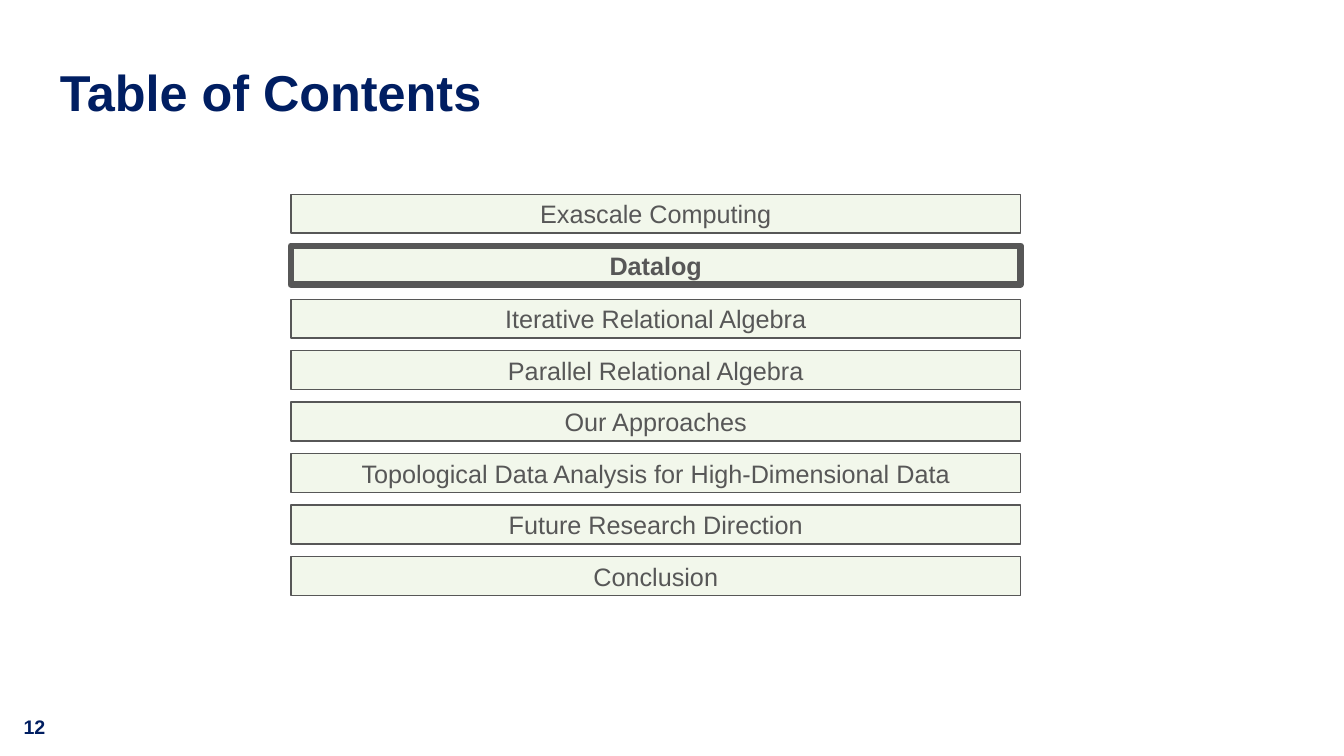
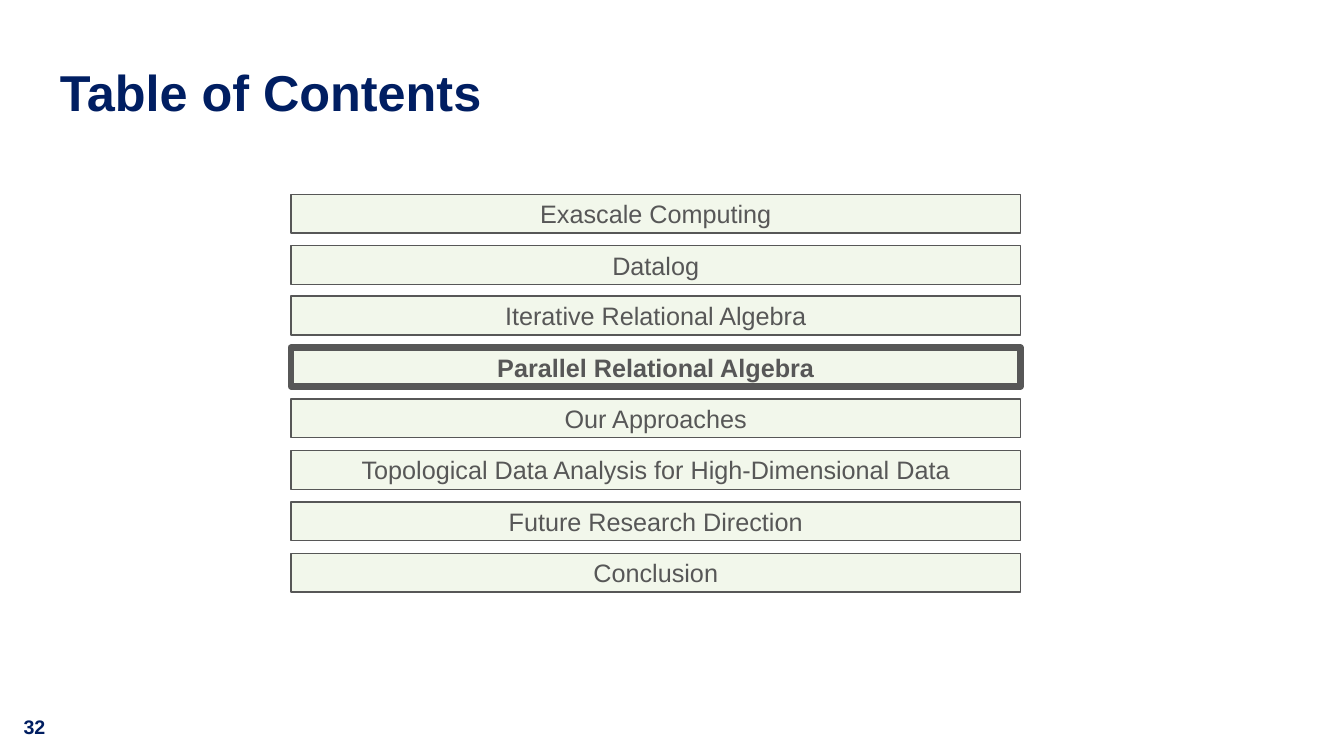
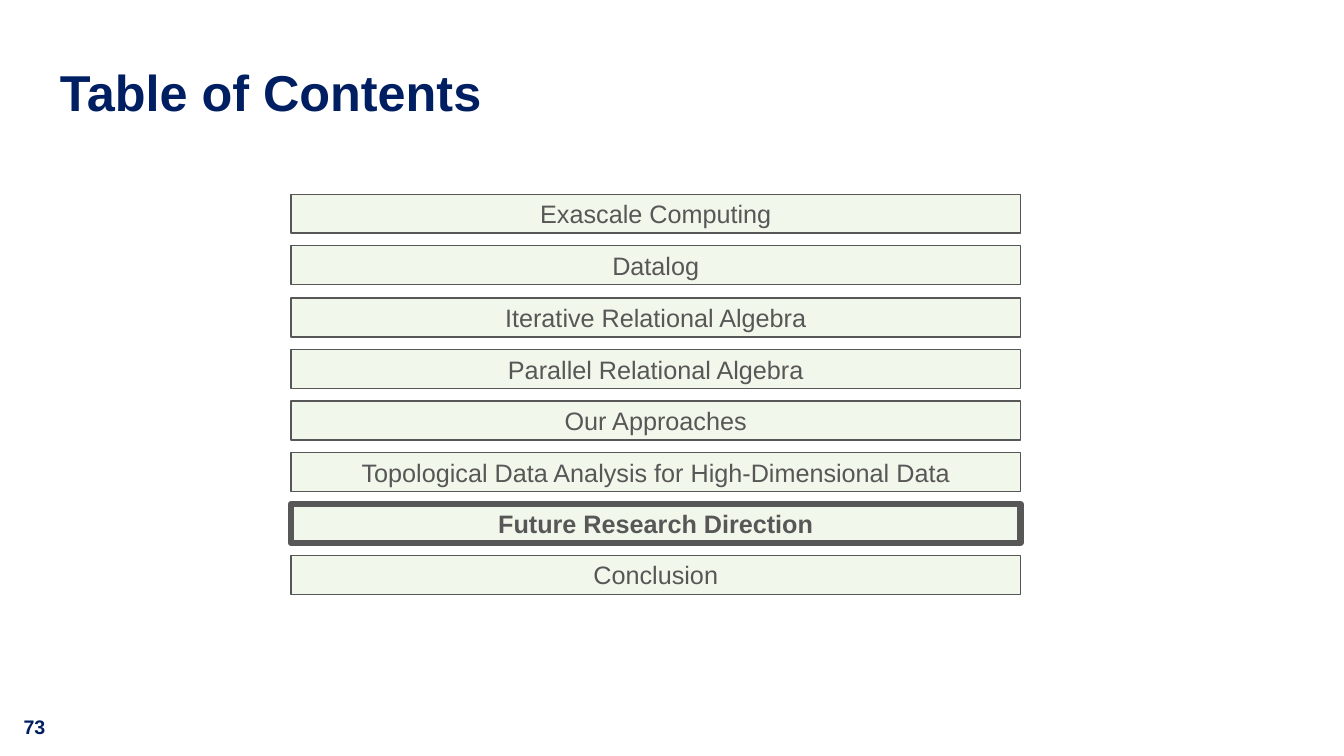
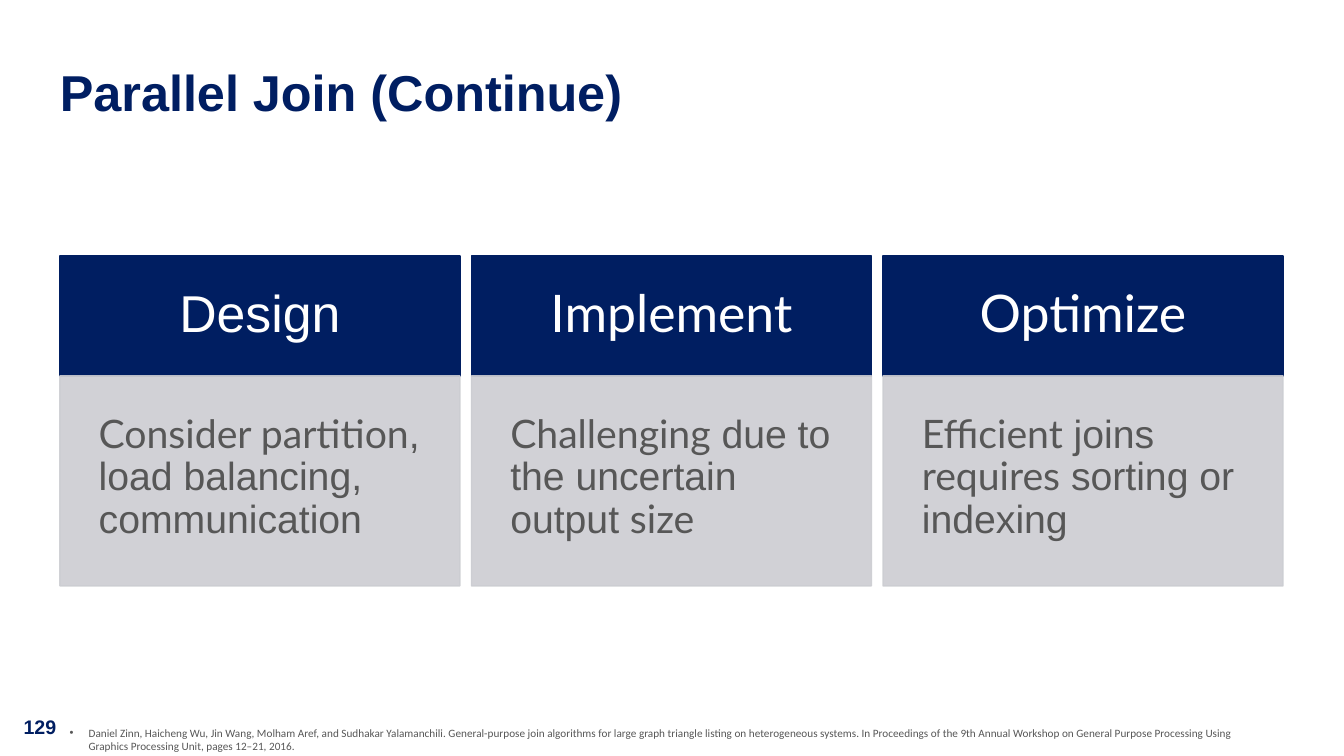
from dataclasses import dataclass

from lxml import etree
from pptx import Presentation
from pptx import util as u
from pptx.dml.color import RGBColor
from pptx.enum import shapes, text
from pptx.oxml import ns

PX = 9525  # EMU per px, 96 px to the inch
SLIDE_WIDTH, SLIDE_HEIGHT = 1280, 720

NAVY = RGBColor(0x00, 0x1E, 0x61)
TITLE_NAVY = RGBColor(0x00, 0x1E, 0x62)
GREY = RGBColor(0x57, 0x57, 0x57)
PALE_GREEN = RGBColor(0xF2, 0xF7, 0xEB)
PALE_GREY = RGBColor(0xCC, 0xCD, 0xD2)
WHITE = RGBColor(0xFF, 0xFF, 0xFF)
ARIAL, LATO, CALIBRI = "Arial", "Lato", "Calibri"

TOPICS = (
    "Exascale Computing",
    "Datalog",
    "Iterative Relational Algebra",
    "Parallel Relational Algebra",
    "Our Approaches",
    "Topological Data Analysis for High-Dimensional Data",
    "Future Research Direction",
    "Conclusion",
)
TOPIC_LEFT, TOPIC_TOP, TOPIC_WIDTH, TOPIC_HEIGHT = 277, 185, 695, 37
TOPIC_PITCH = 49
UPPER_TOPICS = 2

COLUMN_LEFT, COLUMN_WIDTH, COLUMN_PITCH = 57, 381, 392
HEADING_TOP, HEADING_HEIGHT, HEADING_INSET = 244, 114, 30
BODY_HEIGHT, BODY_INSET = 200, 37

REFERENCE = (
    "Daniel Zinn, Haicheng Wu, Jin Wang, Molham Aref, and Sudhakar Yalamanchili. "
    "General-purpose join algorithms for large graph triangle listing on heterogeneous "
    "systems. In Proceedings of the 9th Annual Workshop on General Purpose Processing "
    "Using Graphics Processing Unit, pages 12–21, 2016."
)


@dataclass(frozen=True)
class Agenda:
    number: int
    current: str
    lower_top: int  # top of the first topic below the upper pair


@dataclass(frozen=True)
class Run:
    text: str
    font: str = ARIAL


@dataclass(frozen=True)
class Column:
    heading: Run
    body: tuple[Run, ...]


AGENDAS = (
    Agenda(12, "Datalog", 285),
    Agenda(32, "Parallel Relational Algebra", 282),
    Agenda(73, "Future Research Direction", 284),
)

COLUMNS = (
    Column(
        Run("Design"),
        (Run("Consider partition", LATO), Run(", load balancing, communication")),
    ),
    Column(
        Run("Implement", LATO),
        (
            Run("Challenging", LATO),
            Run(" due to the uncertain output "),
            Run("size", LATO),
        ),
    ),
    Column(
        Run("Optimize", LATO),
        (
            Run("Efficient", LATO),
            Run(" joins "),
            Run("requires", LATO),
            Run(" sorting or indexing"),
        ),
    ),
)


def box(left: int, top: int, width: int, height: int) -> tuple[u.Emu, ...]:
    """Turn a px rectangle into EMU."""
    return tuple(u.Emu(length * PX) for length in (left, top, width, height))


def set_font(font, size: int, color: RGBColor, name: str | None = None, bold: bool = False):
    font.size = u.Pt(size)
    font.color.rgb = color
    font.bold = bold
    if name:
        font.name = name


def set_insets(frame, inset: int):
    frame.margin_left = frame.margin_top = u.Emu(inset * PX)
    frame.margin_right = frame.margin_bottom = u.Emu(inset * PX)


def add_text(slide, area: tuple[int, int, int, int], content: str):
    """Add a wrapping text box and return its paragraph."""
    frame = slide.shapes.add_textbox(*box(*area)).text_frame
    frame.word_wrap = True
    paragraph = frame.paragraphs[0]
    paragraph.text = content
    return paragraph


def add_rectangle(slide, area: tuple[int, int, int, int], fill: RGBColor,
                  line: RGBColor, line_width: float = 1):
    shape = slide.shapes.add_shape(shapes.MSO_SHAPE.RECTANGLE, *box(*area))
    shape.shadow.inherit = False
    shape.fill.solid()
    shape.fill.fore_color.rgb = fill
    shape.line.color.rgb = line
    shape.line.width = u.Pt(line_width)
    shape.text_frame.word_wrap = True
    shape.text_frame.vertical_anchor = text.MSO_ANCHOR.MIDDLE
    return shape


def set_opacity(shape, percent: int):
    """Make fill and line partly transparent."""
    properties = shape.fill._xPr
    for color in properties.iter(ns.qn("a:srgbClr")):
        etree.SubElement(color, ns.qn("a:alpha"), val=str(percent * 1000))


def add_slide(presentation, title: str, number: int):
    """Add a slide with the shared title and number."""
    slide = presentation.slides.add_slide(presentation.slide_layouts.get_by_name("Title Only"))
    shape = slide.shapes.title
    shape.left, shape.top, shape.width, shape.height = box(57, 50, 1116, 81)
    frame = shape.text_frame
    set_insets(frame, 0)
    frame.auto_size = text.MSO_AUTO_SIZE.NONE
    frame.vertical_anchor = text.MSO_ANCHOR.MIDDLE
    paragraph = frame.paragraphs[0]
    paragraph.text = title
    paragraph.alignment = text.PP_ALIGN.LEFT
    paragraph.line_spacing = 0.9
    set_font(paragraph.font, 36, TITLE_NAVY, ARIAL, bold=True)
    paragraph = add_text(slide, (13, 676, 63, 33), str(number))
    set_font(paragraph.font, 14, NAVY, ARIAL, bold=True)
    return slide


def add_agenda(presentation, agenda: Agenda):
    slide = add_slide(presentation, "Table of Contents", agenda.number)
    for index, topic in enumerate(TOPICS):
        if index < UPPER_TOPICS:
            top = TOPIC_TOP + index * TOPIC_PITCH
        else:
            top = agenda.lower_top + (index - UPPER_TOPICS) * TOPIC_PITCH
        current = topic == agenda.current
        shape = add_rectangle(slide, (TOPIC_LEFT, top, TOPIC_WIDTH, TOPIC_HEIGHT),
                              PALE_GREEN, GREY, 4.5 if current else 1)
        paragraph = shape.text_frame.paragraphs[0]
        paragraph.text = topic
        paragraph.alignment = text.PP_ALIGN.CENTER
        set_font(paragraph.font, 18, GREY, ARIAL, bold=current)


def add_column(slide, column: Column, left: int):
    heading = add_rectangle(slide, (left, HEADING_TOP, COLUMN_WIDTH, HEADING_HEIGHT), NAVY, NAVY)
    set_insets(heading.text_frame, HEADING_INSET)
    paragraph = heading.text_frame.paragraphs[0]
    paragraph.text = column.heading.text
    paragraph.alignment = text.PP_ALIGN.CENTER
    paragraph.line_spacing = 0.9
    set_font(paragraph.font, 37, WHITE, column.heading.font)

    body = add_rectangle(slide, (left, HEADING_TOP + HEADING_HEIGHT, COLUMN_WIDTH, BODY_HEIGHT),
                         PALE_GREY, PALE_GREY)
    set_opacity(body, 90)
    set_insets(body.text_frame, BODY_INSET)
    body.text_frame.vertical_anchor = text.MSO_ANCHOR.TOP
    paragraph = body.text_frame.paragraphs[0]
    paragraph.alignment = text.PP_ALIGN.LEFT
    paragraph.line_spacing = 0.9
    set_font(paragraph.font, 28, GREY)
    for part in column.body:
        run = paragraph.add_run()
        run.text = part.text
        run.font.name = part.font


def add_reference(slide):
    paragraph = add_text(slide, (57, 687, 1138, 36), REFERENCE)
    properties = paragraph._p.get_or_add_pPr()
    properties.set("marL", str(18 * PX))
    properties.set("indent", str(-18 * PX))
    etree.SubElement(properties, ns.qn("a:buFont"), typeface=ARIAL)
    etree.SubElement(properties, ns.qn("a:buChar"), char="•")
    set_font(paragraph.font, 8, GREY, CALIBRI)


def main():
    presentation = Presentation()
    presentation.slide_width = u.Emu(SLIDE_WIDTH * PX)
    presentation.slide_height = u.Emu(SLIDE_HEIGHT * PX)
    for agenda in AGENDAS:
        add_agenda(presentation, agenda)
    slide = add_slide(presentation, "Parallel Join (Continue)", 129)
    for index, column in enumerate(COLUMNS):
        add_column(slide, column, COLUMN_LEFT + index * COLUMN_PITCH)
    add_reference(slide)
    presentation.save("out.pptx")


if __name__ == "__main__":
    main()
